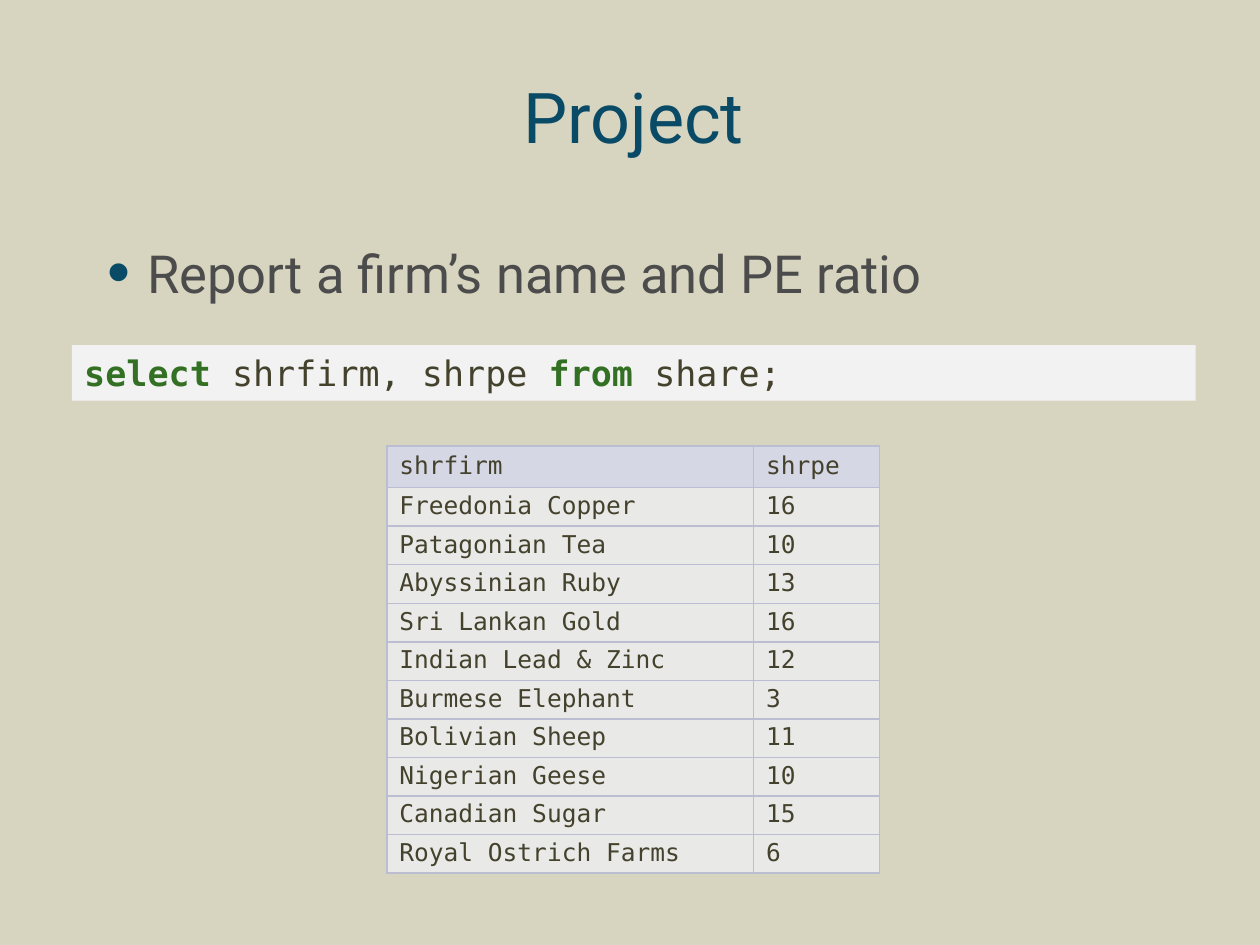
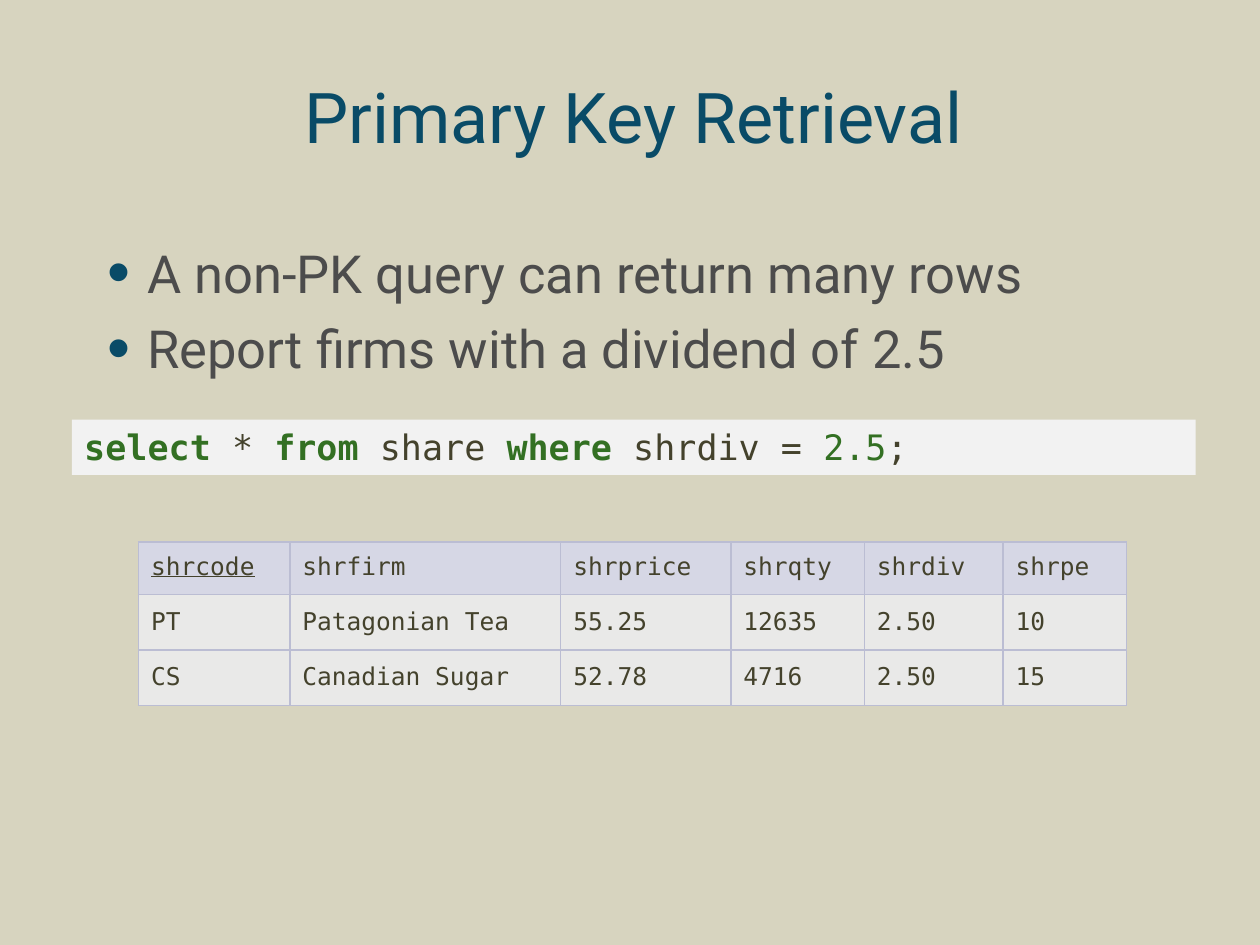
from lxml import etree
from pptx import Presentation, util as u
from pptx.dml.color import RGBColor
from pptx.enum import shapes, text
from pptx.oxml import ns

# Shared style
SANS, MONO = "Roboto", "DejaVu Sans Mono"
BACKGROUND, NAVY, GREY = "D7D4BF", "094B67", "4C4C4C"
CODE_FILL, INK, GREEN = "F2F2F2", "44422C", "337023"
HEADER_FILL, ROW_FILL, BORDER = "D6D7E5", "E9E9E8", "BBBDD3"
LEFT, WIDTH = 0.6, 8.86

# Code token kinds: colour, bold
KEYWORD, PLAIN, NUMBER = (GREEN, True), (INK, False), (GREEN, False)


def color(value):
    return RGBColor.from_string(value)


def add_node(parent, tag, **attributes):
    return etree.SubElement(parent, ns.qn(tag), attributes)


class Slides:
    def __init__(self):
        self.deck = Presentation()
        self.deck.slide_width = u.Inches(10)
        self.deck.slide_height = u.Inches(7.5)
        self.page = None

    def new_page(self, title):
        self.page = self.deck.slides.add_slide(self.deck.slide_layouts[6])
        fill = self.page.background.fill
        fill.solid()
        fill.fore_color.rgb = color(BACKGROUND)
        frame = self.text_box(0.31, 1.21)
        frame.vertical_anchor = text.MSO_ANCHOR.MIDDLE
        para = frame.paragraphs[0]
        para.alignment = text.PP_ALIGN.CENTER
        self.span(para, title, SANS, 40, NAVY)

    def text_box(self, top, height):
        box = self.page.shapes.add_textbox(
            u.Inches(LEFT), u.Inches(top), u.Inches(WIDTH), u.Inches(height))
        box.text_frame.word_wrap = True
        return box.text_frame

    def span(self, para, words, font, size, ink, bold=False, underline=False):
        span = para.add_run()
        span.text = words
        span.font.name = font
        span.font.size = u.Pt(size)
        span.font.color.rgb = color(ink)
        span.font.bold = bold
        span.font.underline = underline

    def bullets(self, height, lines):
        frame = self.text_box(1.85, height)
        frame.margin_left = frame.margin_right = u.Inches(0.06)
        frame.margin_top = frame.margin_bottom = u.Inches(0.06)
        for index, line in enumerate(lines):
            para = frame.add_paragraph() if index else frame.paragraphs[0]
            para.space_before = u.Pt(7)
            # Hanging round bullet
            props = para._p.get_or_add_pPr()
            props.set("marL", str(u.Inches(0.51)))
            props.set("indent", str(u.Inches(-0.32)))
            add_node(add_node(props, "a:buClr"), "a:srgbClr", val=NAVY)
            add_node(props, "a:buSzPct", val="125000")
            add_node(props, "a:buFont", typeface="Arial")
            add_node(props, "a:buChar", char="•")
            self.span(para, line, SANS, 30, GREY)

    def code(self, top, tokens):
        box = self.page.shapes.add_shape(
            shapes.MSO_SHAPE.RECTANGLE, u.Inches(0.57), u.Inches(top),
            u.Inches(8.92), u.Inches(0.44))
        box.shadow.inherit = False
        box.fill.solid()
        box.fill.fore_color.rgb = color(CODE_FILL)
        box.line.fill.background()
        frame = box.text_frame
        frame.word_wrap = True
        frame.auto_size = text.MSO_AUTO_SIZE.SHAPE_TO_FIT_TEXT
        frame.vertical_anchor = text.MSO_ANCHOR.TOP
        para = frame.paragraphs[0]
        para.alignment = text.PP_ALIGN.LEFT
        for words, (ink, bold) in tokens:
            self.span(para, words, MONO, 20, ink, bold)

    def table(self, left, top, widths, heights, rows, key=None):
        grid = self.page.shapes.add_table(
            len(rows), len(widths), u.Inches(left), u.Inches(top),
            u.Inches(sum(widths)), u.Inches(sum(heights))).table
        grid.first_row = grid.horz_banding = False
        for column, width in zip(grid.columns, widths):
            column.width = u.Inches(width)
        for row, height, values in zip(grid.rows, heights, rows):
            row.height = u.Inches(height)
            fill = HEADER_FILL if values is rows[0] else ROW_FILL
            for cell, value in zip(row.cells, values):
                self.cell(cell, value, fill, value == key)

    def cell(self, cell, value, fill, underline):
        cell.vertical_anchor = text.MSO_ANCHOR.MIDDLE
        para = cell.text_frame.paragraphs[0]
        para.line_spacing = 0.88
        self.span(para, value, MONO, 14, INK, underline=underline)
        # Borders come before the fill in the cell properties
        props = cell._tc.get_or_add_tcPr()
        for side in ("a:lnL", "a:lnR", "a:lnT", "a:lnB"):
            line = add_node(props, side, w=str(u.Pt(1)))
            add_node(add_node(line, "a:solidFill"), "a:srgbClr", val=BORDER)
        cell.fill.solid()
        cell.fill.fore_color.rgb = color(fill)


def project(slides):
    slides.new_page("Project")
    firms = [
        ("shrfirm", "shrpe"),
        ("Freedonia Copper", "16"),
        ("Patagonian Tea", "10"),
        ("Abyssinian Ruby", "13"),
        ("Sri Lankan Gold", "16"),
        ("Indian Lead & Zinc", "12"),
        ("Burmese Elephant", "3"),
        ("Bolivian Sheep", "11"),
        ("Nigerian Geese", "10"),
        ("Canadian Sugar", "15"),
        ("Royal Ostrich Farms", "6"),
    ]
    slides.table(3.07, 3.54, [2.91, 1], [0.33] + [0.3] * 10, firms)
    slides.code(2.74, [
        ("select ", KEYWORD), ("shrfirm, shrpe ", PLAIN),
        ("from", KEYWORD), (" share;", PLAIN)])
    slides.bullets(0.82, ["Report a firm’s name and PE ratio"])


def primary_key_retrieval(slides):
    slides.new_page("Primary Key Retrieval")
    shares = [
        ("shrcode", "shrfirm", "shrprice", "shrqty", "shrdiv", "shrpe"),
        ("PT", "Patagonian Tea", "55.25", "12635", "2.50", "10"),
        ("CS", "Canadian Sugar", "52.78", "4716", "2.50", "15"),
    ]
    slides.table(1.1, 4.3, [1.2, 2.15, 1.35, 1.06, 1.1, 0.98],
                 [0.42, 0.44, 0.44], shares, key="shrcode")
    slides.bullets(1.32, ["A non-PK query can return many rows",
                          "Report firms with a dividend of 2.5"])
    slides.code(3.33, [
        ("select", KEYWORD), (" * ", PLAIN), ("from", KEYWORD),
        (" share ", PLAIN), ("where ", KEYWORD), ("shrdiv = ", PLAIN),
        ("2.5", NUMBER), (";", PLAIN)])


def main():
    slides = Slides()
    project(slides)
    primary_key_retrieval(slides)
    slides.deck.save("out.pptx")


if __name__ == "__main__":
    main()
